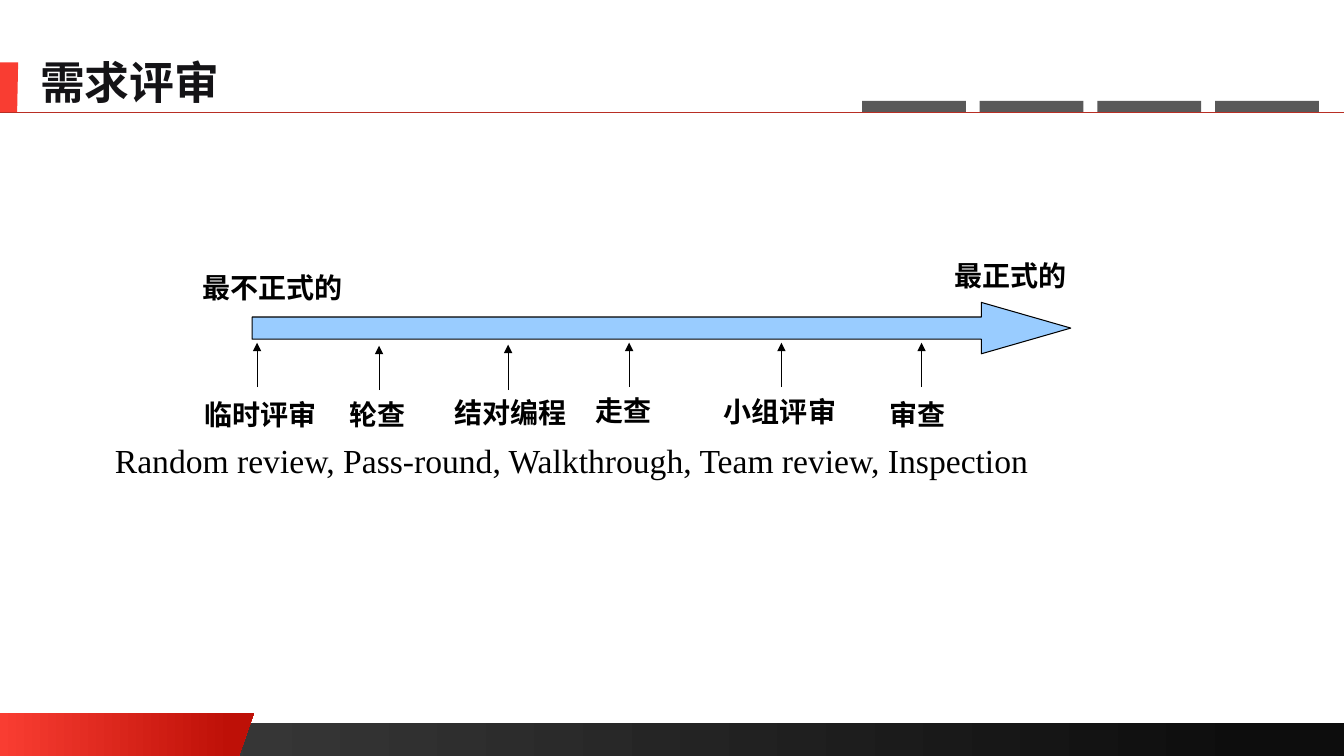
"""Build the requirements review slide."""
from dataclasses import dataclass

from lxml import etree
from pptx import Presentation
from pptx.dml.color import RGBColor
from pptx.enum.shapes import MSO_CONNECTOR, MSO_SHAPE
from pptx.oxml.ns import qn
from pptx.util import Inches, Pt

LINE = MSO_CONNECTOR.STRAIGHT
RECT = MSO_SHAPE.RECTANGLE
ARROW = MSO_SHAPE.RIGHT_ARROW
HAN = "Noto Sans CJK SC"


@dataclass
class Label:
    text: str
    left: float
    top: float
    width: float
    height: float = 0.38
    size: int = 20
    font: str = "Arial"
    color: str = "000000"
    bold: bool = True
    wrap: bool = True
    pad_x: float = 0.07
    pad_y: float = 0.03


@dataclass
class Step:
    label: Label
    x: float
    low: float = 3.84
    high: float = 3.4


@dataclass
class Patch:
    points: list[tuple[float, float]]
    stops: list[tuple[str, float]]


ENDS = [
    Label("最不正式的", 1.94, 2.65, 1.82),
    Label("最正式的", 9.4, 2.53, 1.39),
]
STEPS = [
    Step(Label("临时评审", 1.96, 3.91, 1.4), 2.55),
    Step(Label("轮查", 3.4, 3.91, 0.99), 3.76, 3.87, 3.43),
    Step(Label("结对编程", 4.44, 3.89, 1.28), 5.04, 3.87, 3.42),
    Step(Label("走查", 5.84, 3.87, 0.88), 6.24),
    Step(Label("小组评审", 7.11, 3.88, 1.51, 0.66), 7.75),
    Step(Label("审查", 8.75, 3.91, 1.02), 9.14),
]
NOTE = Label("Random review, Pass-round, Walkthrough, Team review, Inspection",
             1.14, 4.36, 9.14, 0.4, 24, "Times New Roman",
             bold=False, wrap=False, pad_x=0, pad_y=0)
TITLE = Label("需求评审", 0.3, 0.49, 2, 0.64, 32, HAN, "141316",
              wrap=False, pad_x=0.1, pad_y=0.05)
PATCHES = [
    Patch([(0, 7.17), (13.33, 7.17), (13.33, 7.5), (0, 7.5)],
          [("404040", 0), ("0D0D0D", 0.94)]),
    Patch([(0, 7.07), (2.52, 7.07), (2.37, 7.5), (0, 7.5)],
          [("F93D32", 0), ("BE1007", 0.91)]),
    Patch([(0, 0.62), (0.18, 0.62), (0.17, 1.12), (0, 1.12)],
          [("F93D32", 0)]),
]


def rgb(code: str) -> RGBColor:
    """Turn a hex string into a colour."""
    return RGBColor.from_string(code)


def paint(shape, color: str) -> None:
    """Give a shape a plain fill with no line or shadow."""
    shape.shadow.inherit = False
    shape.fill.solid()
    shape.fill.fore_color.rgb = rgb(color)
    shape.line.fill.background()


def add_patch(slide, patch: Patch) -> None:
    """Draw a polygon with a plain or graded fill."""
    points = [(Inches(x), Inches(y)) for x, y in patch.points]
    form = slide.shapes.build_freeform(*points[0], scale=1.0)
    form.add_line_segments(points[1:], close=True)
    shape = form.convert_to_shape()
    paint(shape, patch.stops[0][0])
    if len(patch.stops) > 1:
        shape.fill.gradient()
        shape.fill.gradient_angle = 0
        for stop, (color, place) in zip(shape.fill.gradient_stops, patch.stops):
            stop.color.rgb = rgb(color)
            stop.position = place


def add_block(slide, kind, left: float, top: float, width: float,
              height: float, color: str):
    """Draw a preset shape in one colour."""
    shape = slide.shapes.add_shape(kind, Inches(left), Inches(top),
                                   Inches(width), Inches(height))
    paint(shape, color)
    return shape


def add_line(slide, start: tuple[float, float], end: tuple[float, float],
             color: str, width: float, head: bool = False) -> None:
    """Draw a line, with an arrowhead at its end if asked."""
    line = slide.shapes.add_connector(LINE, *map(Inches, start + end))
    line.line.color.rgb = rgb(color)
    line.line.width = Pt(width)
    if head:
        tip = etree.SubElement(line.line._get_or_add_ln(), qn("a:tailEnd"))
        tip.set("type", "triangle")
    etree.SubElement(line._element.spPr, qn("a:effectLst"))


def add_label(slide, label: Label) -> None:
    """Write a label in its own text box."""
    box = slide.shapes.add_textbox(Inches(label.left), Inches(label.top),
                                   Inches(label.width), Inches(label.height))
    frame = box.text_frame
    frame.word_wrap = label.wrap
    frame.margin_left = frame.margin_right = Inches(label.pad_x)
    frame.margin_top = frame.margin_bottom = Inches(label.pad_y)
    frame.text = label.text
    font = frame.paragraphs[0].runs[0].font
    font.name = label.font
    font.size = Pt(label.size)
    font.bold = label.bold
    font.color.rgb = rgb(label.color)
    etree.SubElement(font._element, qn("a:ea")).set("typeface", HAN)


def main() -> None:
    """Draw the slide and save it."""
    deck = Presentation()
    deck.slide_width, deck.slide_height = Inches(13.33), Inches(7.5)
    slide = deck.slides.add_slide(deck.slide_layouts[6])
    back = slide.background.fill
    back.solid()
    back.fore_color.rgb = rgb("FFFFFF")

    for patch in PATCHES:
        add_patch(slide, patch)
    scale = add_block(slide, ARROW, 2.5, 3, 8.12, 0.51, "99CCFF")
    scale.adjustments[0], scale.adjustments[1] = 0.431, 1.739
    scale.line.color.rgb = rgb("000000")
    scale.line.width = Pt(0.75)

    for step in STEPS:
        add_line(slide, (step.x, step.low), (step.x, step.high),
                 "000000", 0.75, head=True)
    for label in [*ENDS, *(step.label for step in STEPS), NOTE, TITLE]:
        add_label(slide, label)

    add_line(slide, (0, 1.11), (13.33, 1.11), "B82E24", 0.5)
    for i in range(4):
        add_block(slide, RECT, 8.55 + i * 1.167, 1, 1.03, 0.11, "595959")
    deck.save("out.pptx")


if __name__ == "__main__":
    main()
